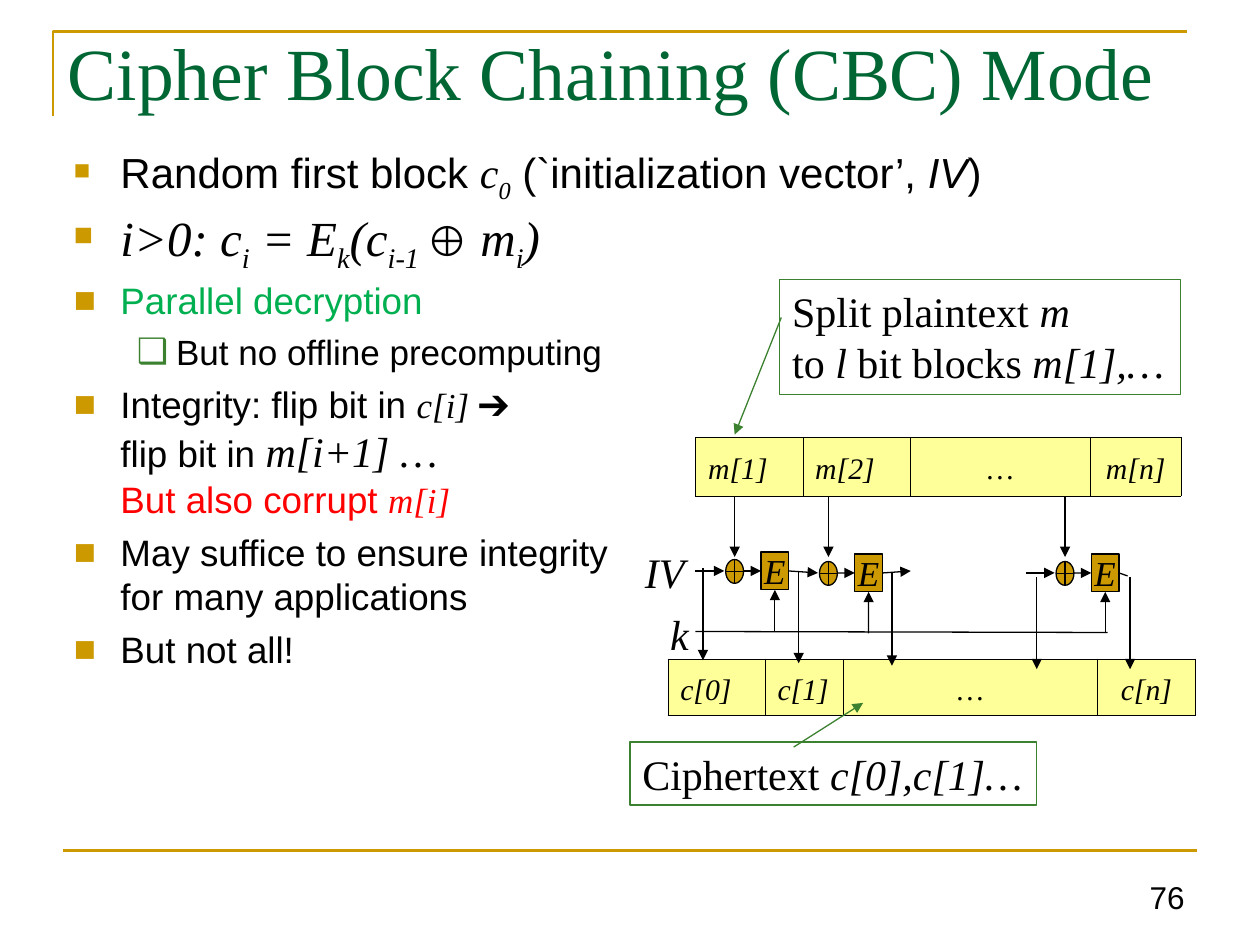
from lxml import etree
from pptx import Presentation
from pptx.dml.color import RGBColor
from pptx.enum.shapes import MSO_CONNECTOR, MSO_SHAPE
from pptx.enum.text import MSO_ANCHOR, PP_ALIGN
from pptx.oxml.ns import qn
from pptx.util import Cm, Pt

BLACK = RGBColor(0x00, 0x00, 0x00)
GOLD = RGBColor(0xCC, 0x99, 0x00)
YELLOW = RGBColor(0xFF, 0xFF, 0x99)
DARK_GREEN = RGBColor(0x00, 0x66, 0x33)
LEAF = RGBColor(0x3B, 0x81, 0x2F)
GREEN = RGBColor(0x00, 0xB0, 0x50)
RED = RGBColor(0xFF, 0x00, 0x00)
LEFT, CENTER, RIGHT = PP_ALIGN.LEFT, PP_ALIGN.CENTER, PP_ALIGN.RIGHT
TOP, MIDDLE, BOTTOM = MSO_ANCHOR.TOP, MSO_ANCHOR.MIDDLE, MSO_ANCHOR.BOTTOM
RECT, XOR = MSO_SHAPE.RECTANGLE, MSO_SHAPE.FLOWCHART_OR
STRAIGHT = MSO_CONNECTOR.STRAIGHT
SANS, SERIF = "Arial", "Times New Roman"


def add_text(p, text, size=24, font=SERIF, color=BLACK, italic=False, sub=False):
    """Append text to a paragraph; a newline becomes a line break."""
    for i, line in enumerate(text.split("\n")):
        if i:
            p.add_line_break()
        if not line:
            continue
        r = p.add_run()
        r.text = line
        r.font.size, r.font.name = Pt(size), font
        r.font.color.rgb, r.font.italic = color, italic
        if sub:
            r.font._element.set("baseline", "-25000")


def sub_element(parent, tag, **attrs):
    el = etree.SubElement(parent, qn(tag))
    for key, value in attrs.items():
        el.set(key, str(value))
    return el


class Deck:
    def __init__(self, prs):
        self.slide = prs.slides.add_slide(prs.slide_layouts[6])
        self.shapes = self.slide.shapes

    def frame(self, tf, runs, align=LEFT, anchor=TOP, wrap=False):
        tf.word_wrap, tf.vertical_anchor = wrap, anchor
        p = tf.paragraphs[0]
        p.alignment = align
        for text, fmt in runs:
            add_text(p, text, **fmt)

    def text(self, x, y, w, h, runs, **layout):
        sp = self.shapes.add_textbox(Cm(x), Cm(y), Cm(w), Cm(h))
        self.frame(sp.text_frame, runs, **layout)
        return sp

    def shape(self, kind, x, y, w, h, fill=None, line=BLACK):
        sp = self.shapes.add_shape(kind, Cm(x), Cm(y), Cm(w), Cm(h))
        sp.shadow.inherit = False
        if fill is None:
            sp.fill.background()
        else:
            sp.fill.solid()
            sp.fill.fore_color.rgb = fill
        sp.line.color.rgb, sp.line.width = line, Pt(0.75)
        return sp

    def line(self, x1, y1, x2, y2, color=BLACK, width=0.75, arrow=True,
             begin=None, end=None):
        """begin and end are (shape, side) pairs to join."""
        cn = self.shapes.add_connector(STRAIGHT, Cm(x1), Cm(y1), Cm(x2), Cm(y2))
        if begin:
            cn.begin_connect(*begin)
        if end:
            cn.end_connect(*end)
        cn.line.color.rgb, cn.line.width = color, Pt(width)
        if arrow:
            sub_element(cn.line._get_or_add_ln(), "a:tailEnd", type="triangle")
        sub_element(cn._element.spPr, "a:effectLst")

    def bullet(self, tf, runs, first=False, char="■", color=GOLD, percent=100,
               left=0.94, hang=0.94, spacing=1.0, level=0):
        p = tf.paragraphs[0] if first else tf.add_paragraph()
        pPr = p._p.get_or_add_pPr()
        pPr.set("marL", str(Cm(left)))
        pPr.set("indent", str(-Cm(hang)))
        clr = sub_element(pPr, "a:buClr")
        sub_element(clr, "a:srgbClr", val=color)
        sub_element(pPr, "a:buSzPct", val=percent * 1000)
        sub_element(pPr, "a:buFont", typeface=SANS)
        sub_element(pPr, "a:buChar", char=char)
        p.level, p.line_spacing = level, spacing
        p.space_before = Pt(0 if first else 5.2)
        for text, fmt in runs:
            add_text(p, text, **fmt)

    def blocks(self, x, y, widths, height, labels):
        """One-row table; the last two labels are centred."""
        table = self.shapes.add_table(1, len(widths), Cm(x), Cm(y),
                                      Cm(sum(widths)), Cm(height)).table
        table.first_row = table.horz_banding = False
        table.rows[0].height = Cm(height)
        for i, (width, label) in enumerate(zip(widths, labels)):
            table.columns[i].width = Cm(width)
            cell = table.cell(0, i)
            cell.margin_top = Cm(0.41)
            p = cell.text_frame.paragraphs[0]
            p.alignment = CENTER if i >= 2 else LEFT
            p.line_spacing = 0.82
            add_text(p, label, size=17, italic=label != "…")
            tcPr = cell._tc.get_or_add_tcPr()
            for side in ("a:lnL", "a:lnR", "a:lnT", "a:lnB"):
                ln = sub_element(tcPr, side, w=Pt(0.11))
                fill = sub_element(ln, "a:solidFill")
                sub_element(fill, "a:srgbClr", val=BLACK)
            cell.fill.solid()
            cell.fill.fore_color.rgb = YELLOW


def build_body(deck):
    sans24, sans21 = dict(font=SANS), dict(font=SANS, size=21)
    var20, var24 = dict(size=20, italic=True), dict(italic=True)
    var28 = dict(size=28, italic=True)
    sub24, sub28 = dict(var24, sub=True), dict(var28, sub=True)

    tf = deck.text(1.24, 2.85, 19.96, 9.42, [], wrap=True).text_frame
    deck.bullet(tf, [("Random first block ", sans24), ("c", var24), ("0", sub24),
                     (" (`initialization vector’, ", sans24),
                     ("IV", dict(sans24, italic=True)), (")", sans24)],
                first=True, percent=65, spacing=0.9)
    deck.bullet(tf, [("i>0: c", var28), ("i", sub28), (" = E", var28), ("k", sub28),
                     ("(c", var28), ("i-1 ", sub28),
                     ("⊕", dict(sans24, italic=True)),
                     (" m", var28), ("i", sub28), (")", var28)],
                percent=65, spacing=0.9)
    deck.bullet(tf, [("Parallel decryption", dict(sans21, color=GREEN))])
    deck.bullet(tf, [("But no offline precomputing", dict(font=SANS, size=20))],
                char="❑", color=LEAF, left=2.06, hang=0.79, level=1)
    deck.bullet(tf, [("Integrity: flip bit in ", sans21), ("c[i] ", var20),
                     ("➔\n", dict(size=20)), ("flip bit in ", sans21),
                     ("m[i+1] …\n", var24),
                     ("But also corrupt ", dict(sans21, color=RED)),
                     ("m[i]", dict(var20, color=RED))])
    deck.bullet(tf, [("May suffice to ensure integrity\nfor many applications", sans21)])
    deck.bullet(tf, [("But not all!", sans21)])


def build_diagram(deck):
    var = dict(italic=True)
    # Plaintext and ciphertext blocks
    deck.blocks(14.02, 8.81, [2.16, 2.16, 3.64, 1.83], 1.19,
                ["m[1]", "m[2]", "…", "m[n]"])
    deck.blocks(13.46, 13.28, [1.96, 1.57, 5.13, 1.98], 1.12,
                ["c[0]", "c[1]", "…", "c[n]"])

    # Inputs: initialization vector and key
    deck.text(12.75, 10.9, 1.3, 1.27, [("IV", var)])
    deck.text(13.26, 12.14, 0.89, 1.27, [("k", var)])
    deck.line(14.02, 12.73, 22.33, 12.75, arrow=False)

    # Stages: XOR with the block, then encrypt with the key
    boxes = []
    for dx, dy in ((0, 0), (1.89, 0.04), (6.66, 0.04)):
        box = deck.shape(RECT, 15.34 + dx, 11.13 + dy, 0.56, 0.76, fill=GOLD)
        tf = box.text_frame
        tf.margin_left = tf.margin_right = tf.margin_top = tf.margin_bottom = 0
        deck.frame(tf, [("E", dict(size=20, italic=True))], CENTER, MIDDLE)
        mid = 11.51 + dy
        previous = (boxes[0], 3) if len(boxes) == 1 else None
        deck.line(14.02 + dx, mid, 14.6 + dx, mid, begin=previous)
        deck.line(14.81 + dx, 10.01, 14.81 + dx, 11.23)
        deck.line(14.81 + dx, mid, 15.34 + dx, mid, end=(box, 1))
        deck.shape(XOR, 14.63 + dx, 11.28 + dy, 0.36, 0.48, fill=GOLD)
        deck.line(15.62 + dx, 12.73 + dy, 15.62 + dx, 11.89 + dy, end=(box, 2))
        boxes.append(box)
    deck.line(17.79, 11.51, 18.36, 11.51, begin=(boxes[1], 3))
    deck.line(22.56, 11.55, 22.73, 11.61, arrow=False, begin=(boxes[2], 3))

    # Outputs down to the ciphertext
    for x, y in ((14.17, 11.45), (16.1, 11.51), (17.98, 11.56),
                 (20.9, 11.63), (22.78, 11.63)):
        deck.line(x, y, x, y + 1.86)

    # Callouts
    plain = dict()
    callouts = [
        ((15.72, 5.64, 8.08, 2.31), (15.75, 6.4, 14.81, 8.76),
         [("Split plaintext ", plain), ("m\n", var), ("to ", plain), ("l", var),
          (" bit blocks ", plain), ("m[1],…", var)]),
        ((12.7, 14.96, 8.2, 1.27), (16, 15.06, 17.4, 14.17),
         [("Ciphertext ", plain), ("c[0],c[1]…", var)]),
    ]
    for place, pointer, runs in callouts:
        sp = deck.shape(RECT, *place, line=LEAF)
        deck.frame(sp.text_frame, runs)
        deck.line(*pointer, color=LEAF)


def main():
    prs = Presentation()
    prs.slide_width, prs.slide_height = Cm(25.4), Cm(19.05)
    deck = Deck(prs)

    # Frame, footer rule and page number
    fb = deck.shapes.build_freeform(Cm(1.07), Cm(2.34))
    fb.add_line_segments([(Cm(1.07), Cm(0.64)), (Cm(23.93), Cm(0.64))], close=False)
    sp = fb.convert_to_shape()
    sp.shadow.inherit = False
    sp.fill.background()
    sp.line.color.rgb, sp.line.width = GOLD, Pt(1.5)
    deck.line(1.27, 17.15, 24.13, 17.15, color=GOLD, width=1.5, arrow=False)
    deck.text(18.21, 17.35, 5.92, 1.24, [("76", dict(size=18, font=SANS))],
              align=RIGHT, anchor=BOTTOM, wrap=True)

    # Title
    deck.text(1.12, 0.43, 23.37, 2.11,
              [("Cipher Block Chaining (CBC) Mode", dict(size=42, color=DARK_GREEN))],
              wrap=True)

    build_body(deck)
    build_diagram(deck)
    prs.save("out.pptx")


if __name__ == "__main__":
    main()
